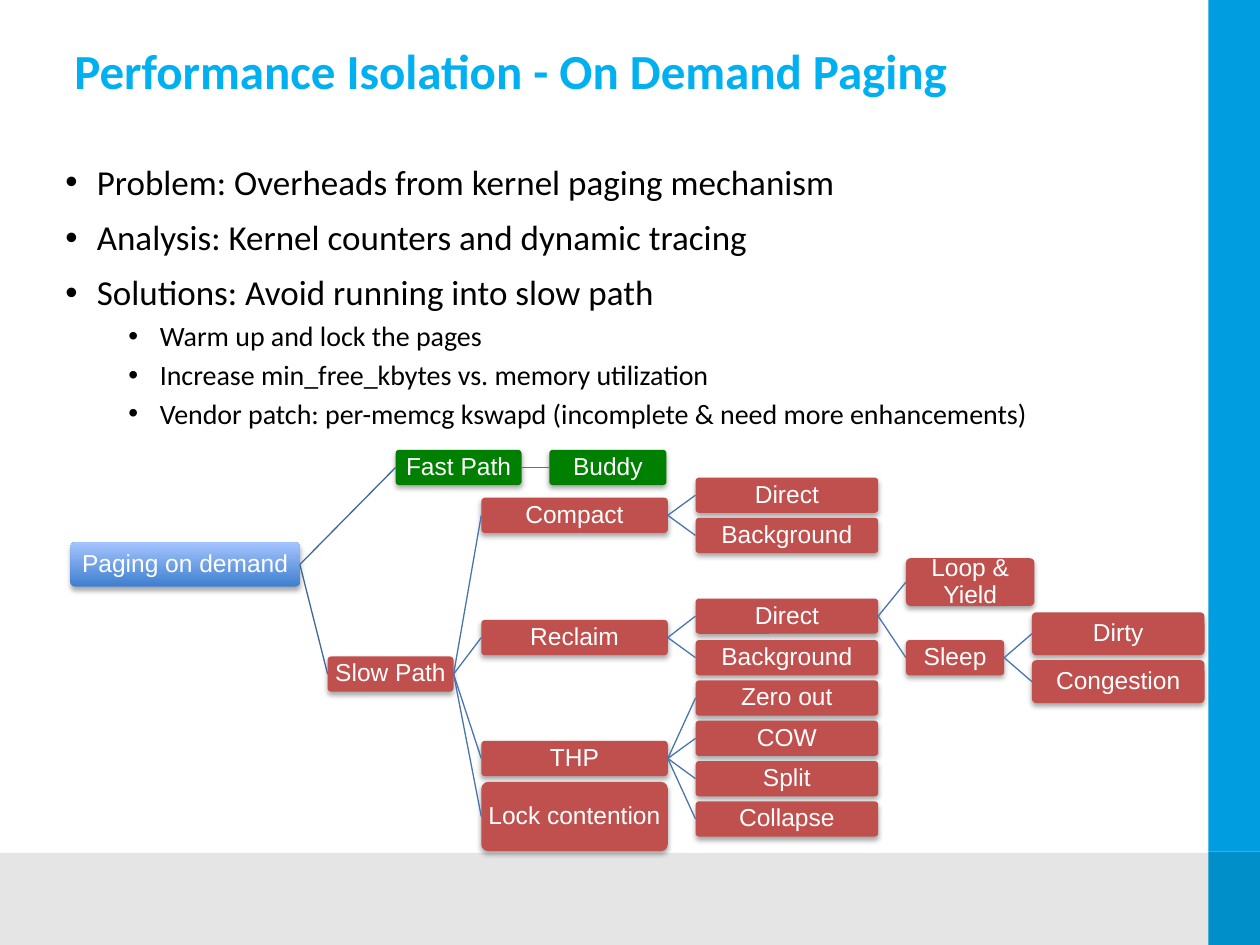
from collections import namedtuple

from lxml.etree import SubElement
from pptx import Presentation
from pptx.dml.color import RGBColor
from pptx.enum.shapes import MSO_CONNECTOR, MSO_SHAPE
from pptx.enum.text import MSO_ANCHOR, MSO_AUTO_SIZE, PP_ALIGN
from pptx.oxml.ns import qn
from pptx.util import Inches, Pt

WHITE = RGBColor(0xFF, 0xFF, 0xFF)
BLACK = RGBColor(0, 0, 0)
TITLE_BLUE = RGBColor(0x00, 0xB0, 0xF0)
BAR_BLUE = RGBColor(0x00, 0x9E, 0xE0)
CORNER_BLUE = RGBColor(0x00, 0x8F, 0xC9)
FOOTER_GREY = RGBColor(0xE5, 0xE5, 0xE5)
ROOT_DARK = RGBColor(0x3F, 0x7F, 0xCE)
ROOT_LIGHT = RGBColor(0xA4, 0xC4, 0xFF)
GREEN = RGBColor(0x00, 0x80, 0x00)
RED = RGBColor(0xC0, 0x50, 0x4D)
TRUNK_LINE = RGBColor(0x3F, 0x67, 0x97)
BRANCH_LINE = RGBColor(0x48, 0x75, 0xAC)

# Content
TITLE = "Performance Isolation - On Demand Paging"
BULLETS = [
    (0, "Problem: Overheads from kernel paging mechanism"),
    (0, "Analysis: Kernel counters and dynamic tracing"),
    (0, "Solutions: Avoid running into slow path"),
    (1, "Warm up and lock the pages"),
    (1, "Increase min_free_kbytes vs. memory utilization"),
    (1, "Vendor patch: per-memcg kswapd (incomplete & need more enhancements)"),
]
# Per level: left indent, text size, space before
BULLET_LEVELS = [(0.25, 20, 10), (0.75, 16, 5)]
BARS = [
    (0, 6.77, 10, 0.73, FOOTER_GREY),
    (9.59, 0, 0.41, 6.76, BAR_BLUE),
    (9.59, 6.76, 0.41, 0.74, CORNER_BLUE),
]

# Tree: each node sits one gap to the right of its parent
ROOT_LEFT = 0.56
GAP = 0.22
FAST_GAP = 0.76
Node = namedtuple("Node", "label middle width height colour gap children",
                  defaults=(0.28, RED, GAP, ()))


def leaves(first_middle, pitch, width, height, *labels):
    return [Node(label, first_middle + i * pitch, width, height)
            for i, label in enumerate(labels)]


ROW = 0.32
SLEEP = Node("Sleep", 5.22, 0.78,
             children=leaves(5.03, 0.38, 1.37, 0.34, "Dirty", "Congestion"))
DIRECT_RECLAIM = Node("Direct", 4.89, 1.45, children=[
    Node("Loop & Yield", 4.62, 1.02, 0.38), SLEEP])
SLOW_PATH = Node("Slow Path", 5.35, 1, children=[
    Node("Compact", 4.09, 1.48,
         children=leaves(3.93, ROW, 1.45, 0.28, "Direct", "Background")),
    Node("Reclaim", 5.06, 1.48,
         children=[DIRECT_RECLAIM, Node("Background", 5.22, 1.45)]),
    Node("THP", 6.02, 1.48,
         children=leaves(5.54, ROW, 1.45, 0.28,
                         "Zero out", "COW", "Split", "Collapse")),
    Node("Lock contention", 6.48, 1.48, 0.55),
])
FAST_PATH = Node("Fast Path", 3.71, 1, colour=GREEN, gap=FAST_GAP,
                 children=[Node("Buddy", 3.71, 0.93, colour=GREEN)])
ROOT = Node("Paging on demand", 4.48, 1.82, 0.35, None, 0,
            [FAST_PATH, SLOW_PATH])


def add_span(para, text, font, size, colour, bold=False):
    span = para.add_run()
    span.text = text
    span.font.name = font
    span.font.size = Pt(size)
    span.font.bold = bold
    span.font.color.rgb = colour


def set_margins(frame, side, top):
    frame.margin_left = frame.margin_right = Inches(side)
    frame.margin_top = frame.margin_bottom = Inches(top)


def add_drop_shadow(box):
    effects = box._element.spPr.find(qn("a:effectLst"))
    shadow = SubElement(effects, qn("a:outerShdw"), blurRad=str(Pt(3.1)),
                        dist=str(Pt(1.8)), dir="5400000", rotWithShape="0")
    tint = SubElement(shadow, qn("a:srgbClr"), val="000000")
    SubElement(tint, qn("a:alpha"), val="35000")


def add_box(page, node, left):
    box = page.shapes.add_shape(
        MSO_SHAPE.ROUNDED_RECTANGLE, Inches(left),
        Inches(node.middle - node.height / 2),
        Inches(node.width), Inches(node.height))
    box.adjustments[0] = 0.1
    if node.colour is None:
        box.fill.gradient()
        box.fill.gradient_angle = 90
        for stop, colour in zip(box.fill.gradient_stops, (ROOT_DARK, ROOT_LIGHT)):
            stop.color.rgb = colour
    else:
        box.fill.solid()
        box.fill.fore_color.rgb = node.colour
    box.line.fill.background()
    box.shadow.inherit = False
    add_drop_shadow(box)
    frame = box.text_frame
    frame.word_wrap = True
    frame.vertical_anchor = MSO_ANCHOR.MIDDLE
    set_margins(frame, 0.01, 0.01)
    para = frame.paragraphs[0]
    para.alignment = PP_ALIGN.CENTER
    para.line_spacing = 0.9
    add_span(para, node.label, "Arial", 14, WHITE)
    return box


def add_link(page, parent, child, colour):
    link = page.shapes.add_connector(MSO_CONNECTOR.STRAIGHT, 0, 0, 0, 0)
    link.begin_connect(parent, 3)  # right side
    link.end_connect(child, 1)  # left side
    link.line.color.rgb = colour
    link.line.width = Pt(0.75)
    SubElement(link._element.spPr, qn("a:effectLst"))


def add_tree(page, node, left, line_colour):
    box = add_box(page, node, left)
    for child in node.children:
        child_left = left + node.width + child.gap
        child_box = add_tree(page, child, child_left, BRANCH_LINE)
        add_link(page, box, child_box, line_colour)
    return box


def add_bars(page):
    for left, top, width, height, colour in BARS:
        bar = page.shapes.add_shape(MSO_SHAPE.RECTANGLE, Inches(left),
                                    Inches(top), Inches(width), Inches(height))
        bar.fill.solid()
        bar.fill.fore_color.rgb = colour
        bar.line.fill.background()
        bar.shadow.inherit = False


def add_title(page):
    title = page.shapes.title
    title.left, title.top = Inches(0.55), Inches(0.3)
    title.width, title.height = Inches(8.12), Inches(0.51)
    frame = title.text_frame
    frame.auto_size = MSO_AUTO_SIZE.NONE
    frame.vertical_anchor = MSO_ANCHOR.TOP
    set_margins(frame, 0.04, 0.02)
    para = frame.paragraphs[0]
    para.alignment = PP_ALIGN.LEFT
    add_span(para, TITLE, "Calibri", 28, TITLE_BLUE, bold=True)


def add_bullets(page):
    box = page.shapes.add_textbox(Inches(0.42), Inches(1.26),
                                  Inches(8.62), Inches(4.08))
    frame = box.text_frame
    frame.word_wrap = True
    for i, (level, text) in enumerate(BULLETS):
        indent, size, space = BULLET_LEVELS[level]
        para = frame.add_paragraph() if i else frame.paragraphs[0]
        para.level = level
        para.line_spacing = 0.9
        para.space_before = Pt(space)
        properties = para._p.get_or_add_pPr()
        properties.set("marL", str(Inches(indent)))
        properties.set("indent", str(Inches(-0.25)))
        SubElement(properties, qn("a:buFont"), typeface="Arial")
        SubElement(properties, qn("a:buChar"), char="•")
        add_span(para, text, "Calibri", size, BLACK)


def main():
    deck = Presentation()
    deck.slide_width, deck.slide_height = Inches(10), Inches(7.5)
    page = deck.slides.add_slide(deck.slide_layouts[5])  # title only
    add_bars(page)
    add_title(page)
    add_bullets(page)
    add_tree(page, ROOT, ROOT_LEFT, TRUNK_LINE)
    deck.save("out.pptx")


if __name__ == "__main__":
    main()
